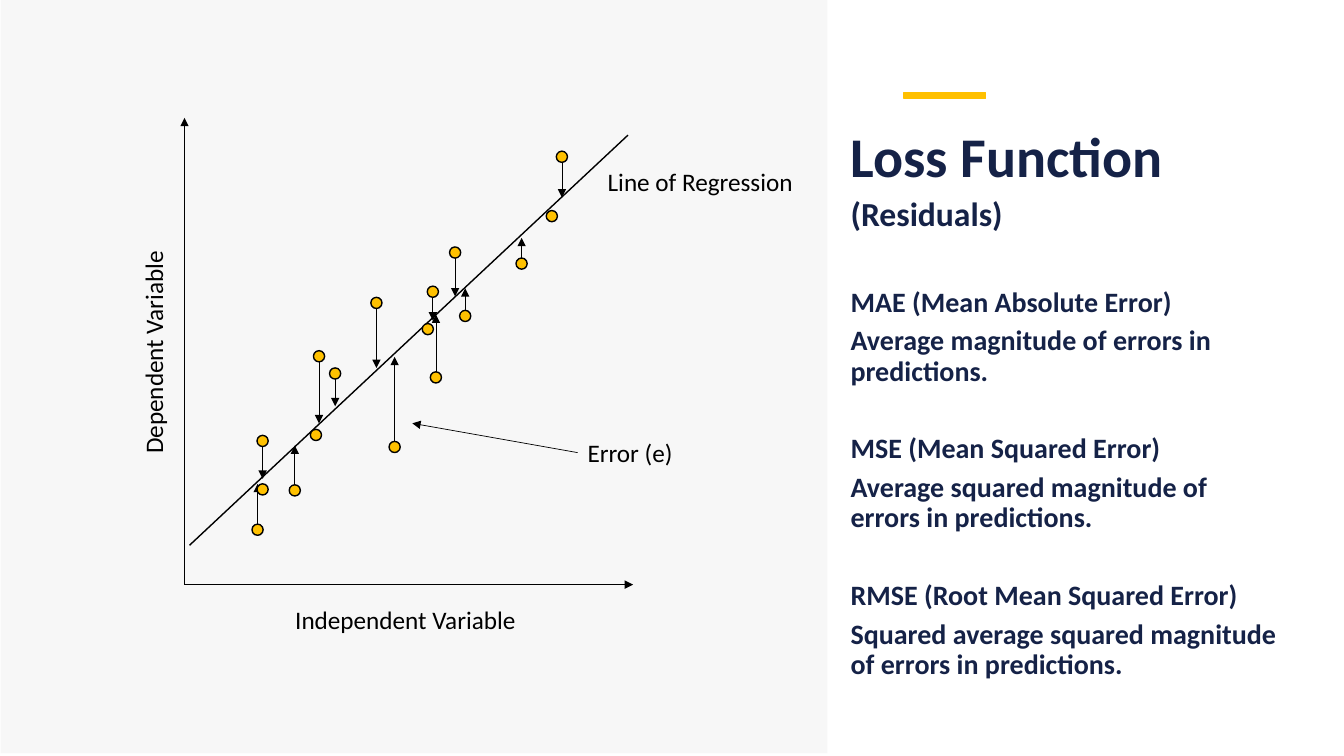
"""Build a slide on regression residuals and the loss functions that use them."""
from lxml import etree
from pptx import Presentation
from pptx.dml.color import RGBColor
from pptx.enum.shapes import MSO_CONNECTOR, MSO_SHAPE
from pptx.oxml.ns import qn
from pptx.util import Pt

RECT = MSO_SHAPE.RECTANGLE
OVAL = MSO_SHAPE.OVAL
STRAIGHT = MSO_CONNECTOR.STRAIGHT
COLORS = {"panel": "F7F7F7", "point": "FFC100", "accent": "FFC000",
          "navy": "152247", "black": "000000"}
BODY_SPACING = {"line_spacing": 0.9, "space_after": Pt(6)}
RADIUS = 4


class Sketch:
    def __init__(self, slide, font):
        self.shapes = slide.shapes
        self.font = font

    def color(self, name):
        return RGBColor.from_string(COLORS[name])

    def shape(self, kind, left, top, width, height, fill, outline=None):
        shape = self.shapes.add_shape(kind, Pt(left), Pt(top), Pt(width), Pt(height))
        shape.shadow.inherit = False
        shape.fill.solid()
        shape.fill.fore_color.rgb = self.color(fill)
        if outline:
            shape.line.color.rgb = self.color(outline)
            shape.line.width = Pt(1)
        else:
            shape.line.fill.background()

    def line(self, x1, y1, x2, y2, width=0.5, arrow=True):
        line = self.shapes.add_connector(STRAIGHT, Pt(x1), Pt(y1), Pt(x2), Pt(y2))
        line.line.color.rgb = self.color("black")
        line.line.width = Pt(width)
        if arrow:
            etree.SubElement(line.line._get_or_add_ln(), qn("a:tailEnd"), type="triangle")
        etree.SubElement(line._element.spPr, qn("a:effectLst"))

    def text(self, left, top, width, height, paragraphs, color="black", bold=False,
             spacing=None, wrap=True, rotation=0):
        box = self.shapes.add_textbox(Pt(left), Pt(top), Pt(width), Pt(height))
        box.rotation = rotation
        frame = box.text_frame
        frame.word_wrap = wrap
        for index, (words, size, gap) in enumerate(paragraphs):
            paragraph = frame.add_paragraph() if index else frame.paragraphs[0]
            run = paragraph.add_run()
            run.text = words
            run.font.color.rgb = self.color(color)
            font_format = {"name": self.font, "size": Pt(size), "bold": bold}
            for name, value in font_format.items():
                setattr(run.font, name, value)
            for name, value in {**(spacing or {}), "space_before": Pt(gap)}.items():
                setattr(paragraph, name, value)

    def label(self, left, top, width, words, **options):
        self.text(left, top, width, 29, [(words, 18, 0)], **options)

    def observation(self, x, y, tip=None):
        self.shape(OVAL, x - RADIUS, y - RADIUS, 2 * RADIUS, 2 * RADIUS, "point", "black")
        if tip is not None:
            edge = RADIUS if tip > y else -RADIUS
            self.line(x, y + edge, x, tip)


deck = Presentation()
deck.slide_width, deck.slide_height = Pt(960), Pt(540)
sketch = Sketch(deck.slides.add_slide(deck.slide_layouts[6]), "Calibri")

sketch.shape(RECT, 0.5, -2, 590.5, 540, "panel")
sketch.shape(RECT, 645.8, 66.2, 58.3, 4.3, "accent", "accent")

ORIGIN = (131.8, 417.6)
for axis_end in ((131.8, 84.2), (452.2, 417.6)):
    sketch.line(*ORIGIN, *axis_end)
sketch.line(135.4, 389.5, 448.6, 96.5, width=1, arrow=False)

OBSERVATIONS = [
    (184, 378.4, 345.6), (187.6, 315, 342), (187.6, 349.6), (210.6, 350.3, 318.2),
    (225.7, 310.7), (227.9, 254.5, 302.4), (239.4, 266.8, 290.2),
    (268.9, 216.4, 262.8), (281.9, 319.3, 254.9), (305.6, 235.1),
    (309.2, 208.4, 229), (311.4, 269.6, 224.6), (325.1, 180.4, 211.7),
    (332.3, 225.7, 205.9), (372.6, 188.3, 169.9), (394.2, 154.4),
    (401.4, 112, 141.1),
]
for observation in OBSERVATIONS:
    sketch.observation(*observation)

sketch.label(28.8, 236.2, 161.3, "Dependent Variable", wrap=False, rotation=270)
sketch.label(203.8, 428.4, 177, "Independent Variable")
sketch.label(427, 115.2, 177, "Line of Regression")
sketch.label(412.6, 308.9, 177, "Error (e)")
sketch.line(412.6, 323.3, 294.5, 302.4)

LOSSES = [
    ("MAE (Mean Absolute Error)", "Average magnitude of errors in predictions.", 32.4),
    ("MSE (Mean Squared Error)", "Average squared magnitude of errors in predictions.", 28),
    ("RMSE (Root Mean Squared Error)",
     "Squared average squared magnitude of errors in predictions.", 28),
]
summary = [("Loss Function", 40, 0), ("(Residuals)", 24, 0)]
for loss, meaning, gap in LOSSES:
    summary += [(loss, 20, gap), (meaning, 20, 0)]
sketch.text(600.5, 88.6, 321.8, 445, summary, color="navy", bold=True, spacing=BODY_SPACING)

deck.save("out.pptx")
